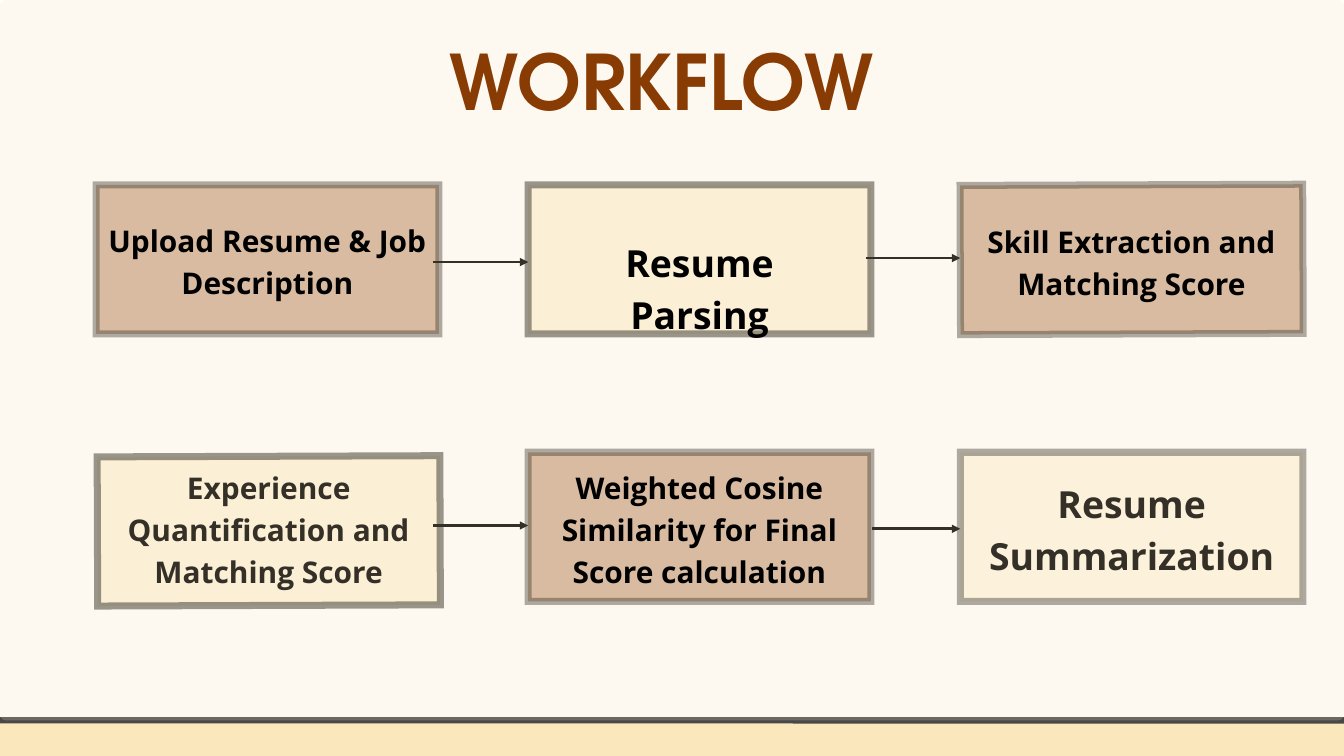
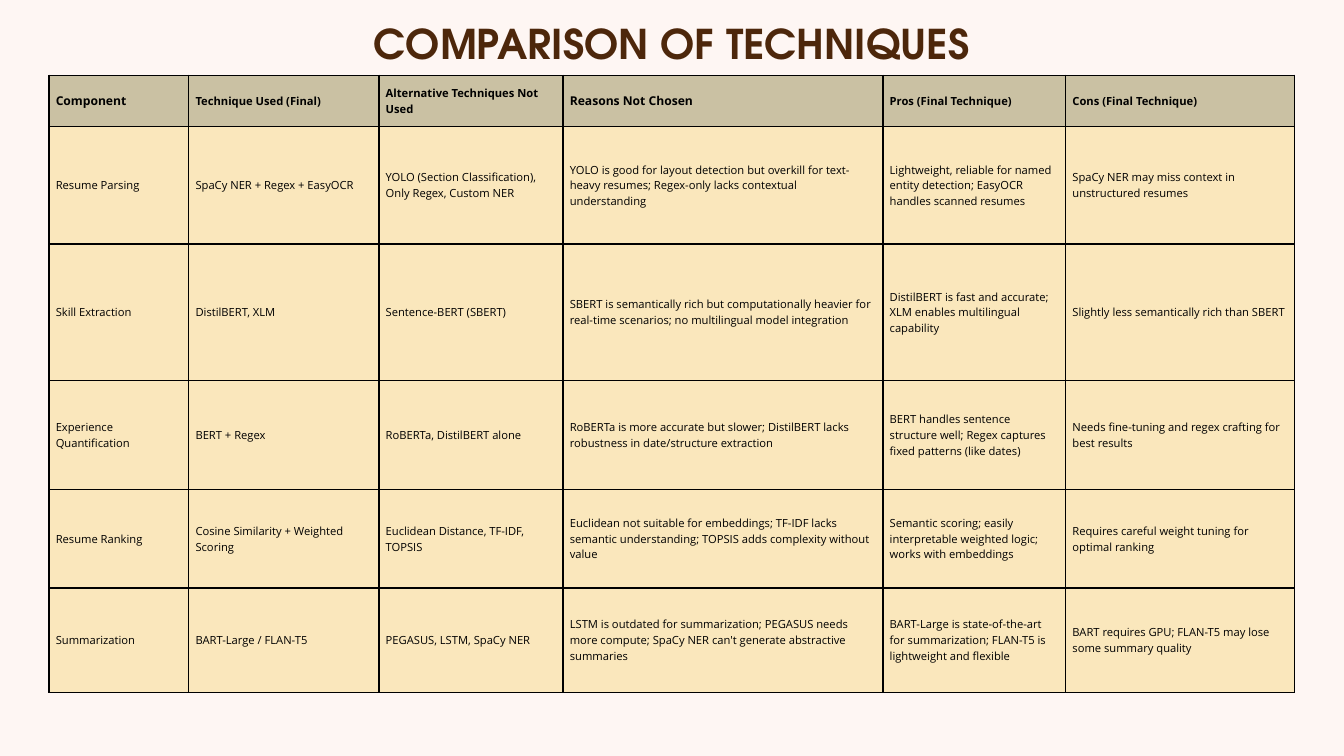
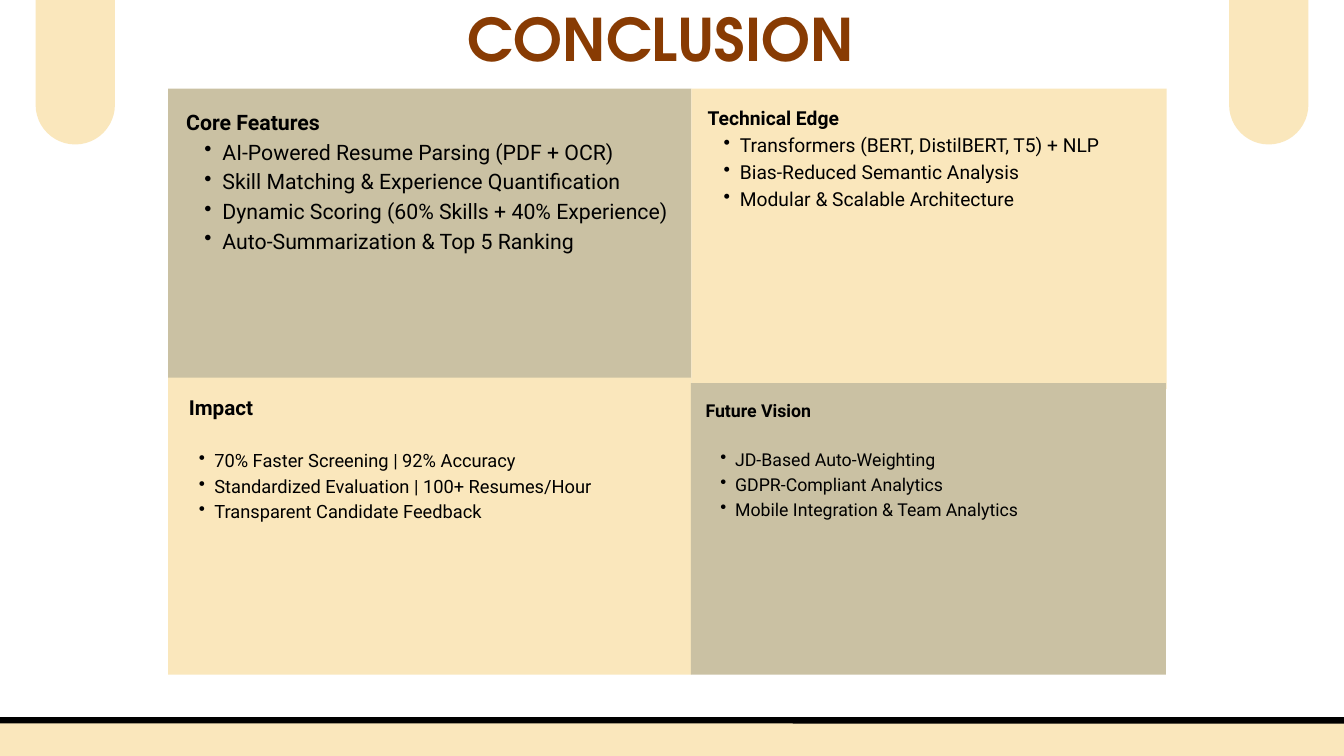
from collections import namedtuple

from lxml.etree import SubElement
from pptx import Presentation
from pptx.dml.color import RGBColor
from pptx.enum.shapes import MSO_CONNECTOR, MSO_SHAPE
from pptx.enum.text import MSO_ANCHOR, PP_ALIGN
from pptx.oxml.ns import qn
from pptx.util import Emu, Pt

RECT, ROUND = MSO_SHAPE.RECTANGLE, MSO_SHAPE.ROUNDED_RECTANGLE
LINE = MSO_CONNECTOR.STRAIGHT
TOP, MIDDLE = MSO_ANCHOR.TOP, MSO_ANCHOR.MIDDLE
LEFT, CENTER = PP_ALIGN.LEFT, PP_ALIGN.CENTER

SCALE = 9144  # EMU in one px, 100 px to the inch
WIDTH, HEIGHT = 2000, 1125
FLOOR = 1072  # top of the footer band

BLACK, WHITE, BLUSH = "000000", "FFFFFF", "FEF6F3"
CREAM, KHAKI, GREY = "FAE7BC", "CAC1A3", "494848"
RUST, BROWN = "883B03", "4D270B"
HEAD, BODY, NOTE = "TeX Gyre Adventor", "Open Sans", "Roboto"
LEAD = 1.4  # line height as a share of the text size

Step = namedtuple("Step", "text fill alpha size inset drop under dx dy angle",
                  defaults=(False, 0, 0, 0))
STEPS = [
    [Step("Upload Resume & Job Description", RUST, 40, 32, 16, 47),
     Step("Resume Parsing", CREAM, 50, 40, 35, 71),
     Step("Skill Extraction and Matching Score", RUST, 40, 32, 22, 49,
          angle=359.8)],
    [Step("Experience Quantification and Matching Score", CREAM, 50, 32, 0, 11,
          True, 2, 6, 359.8),
     Step("Weighted Cosine Similarity for Final Score calculation",
          RUST, 40, 32, 0, 17),
     Step("Resume Summarization", CREAM, 40, 40, 0, 32, True)],
]
# Row, column it leaves, start beyond the step, distance below the row top
ARROWS = [(0, 0, -8, 115), (0, 1, -8, 109), (1, 0, -8, 109), (1, 1, 1, 114)]

COLS = [208, 283, 274, 476, 272, 341]
ROWS = [76, 175, 203, 162, 147, 155]
CELLS = [
    ["Component", "Technique Used (Final)", "Alternative Techniques Not Used",
     "Reasons Not Chosen", "Pros (Final Technique)", "Cons (Final Technique)"],
    ["Resume Parsing", "SpaCy NER + Regex + EasyOCR",
     "YOLO (Section Classification), Only Regex, Custom NER",
     "YOLO is good for layout detection but overkill for text-heavy resumes; "
     "Regex-only lacks contextual understanding",
     "Lightweight, reliable for named entity detection; "
     "EasyOCR handles scanned resumes",
     "SpaCy NER may miss context in unstructured resumes"],
    ["Skill Extraction", "DistilBERT, XLM", "Sentence-BERT (SBERT)",
     "SBERT is semantically rich but computationally heavier for real-time "
     "scenarios; no multilingual model integration",
     "DistilBERT is fast and accurate; XLM enables multilingual capability",
     "Slightly less semantically rich than SBERT"],
    ["Experience Quantification", "BERT + Regex", "RoBERTa, DistilBERT alone",
     "RoBERTa is more accurate but slower; DistilBERT lacks robustness in "
     "date/structure extraction",
     "BERT handles sentence structure well; Regex captures fixed patterns "
     "(like dates)",
     "Needs fine-tuning and regex crafting for best results"],
    ["Resume Ranking", "Cosine Similarity + Weighted Scoring",
     "Euclidean Distance, TF-IDF, TOPSIS",
     "Euclidean not suitable for embeddings; TF-IDF lacks semantic "
     "understanding; TOPSIS adds complexity without value",
     "Semantic scoring; easily interpretable weighted logic; "
     "works with embeddings",
     "Requires careful weight tuning for optimal ranking"],
    ["Summarization", "BART-Large / FLAN-T5", "PEGASUS, LSTM, SpaCy NER",
     "LSTM is outdated for summarization; PEGASUS needs more compute; "
     "SpaCy NER can't generate abstractive summaries",
     "BART-Large is state-of-the-art for summarization; "
     "FLAN-T5 is lightweight and flexible",
     "BART requires GPU; FLAN-T5 may lose some summary quality"],
]

Panel = namedtuple("Panel", "box fill pad title head size items indent gap",
                   defaults=(0, 0))
PANELS = [
    Panel((250, 132, 779, 446), KHAKI, 27, "Core Features", 22.8, 22.8,
          ["AI-Powered Resume Parsing (PDF + OCR)",
           "Skill Matching & Experience Quantification",
           "Dynamic Scoring (60% Skills + 40% Experience)",
           "Auto-Summarization & Top 5 Ranking"]),
    Panel((1029, 132, 707, 447), CREAM, 24, "Technical Edge", 20.6, 20.6,
          ["Transformers (BERT, DistilBERT, T5) + NLP",
           "Bias-Reduced Semantic Analysis",
           "Modular & Scalable Architecture"]),
    Panel((250, 562, 779, 442), CREAM, 23, "Impact", 22.1, 19.6,
          ["70% Faster Screening | 92% Accuracy",
           "Standardized Evaluation | 100+ Resumes/Hour",
           "Transparent Candidate Feedback"], 8, 27.5),
    Panel((1028, 570, 707, 434), KHAKI, 22, "Future Vision", 19, 19,
          ["JD-Based Auto-Weighting", "GDPR-Compliant Analytics",
           "Mobile Integration & Team Analytics"], 0, 26.6),
]


def px(*sizes):
    return [Emu(size * SCALE) for size in sizes]


def rgb(code):
    return RGBColor.from_string(code)


def put(item, **values):
    for name, value in values.items():
        setattr(item, name, value)


def paint(fill, code):
    fill.solid()
    fill.fore_color.rgb = rgb(code)


def frame(shape, pad=0, top=None, anchor=TOP):
    """Set up wrapping and margins of a shape or table cell."""
    side, head = px(pad, pad if top is None else top)
    put(shape, margin_left=side, margin_right=side, margin_top=head,
        margin_bottom=side)
    shape.vertical_anchor = anchor
    if hasattr(shape, "word_wrap"):
        shape.word_wrap = True


def write(para, text, size, font, code=BLACK, bold=True, align=LEFT):
    run = para.add_run()
    run.text = text
    put(run.font, size=Pt(size), name=font, bold=bold)
    run.font.color.rgb = rgb(code)
    put(para, line_spacing=Pt(round(size * LEAD, 1)), alignment=align)


def indent(para, left, first=0):
    props = para._p.get_or_add_pPr()
    for name, size in zip(("marL", "indent"), px(left, first)):
        props.set(name, str(size))
    return props


def label(slide, box, text, size, font=BODY, code=BLACK):
    body = slide.shapes.add_textbox(*px(*box)).text_frame
    frame(body)
    write(body.paragraphs[0], text, size, font, code, align=CENTER)


def block(slide, box, fill, kind=RECT, edge=None, width=0, alpha=100, radius=0):
    shape = slide.shapes.add_shape(kind, *px(*box))
    shape.shadow.inherit = False
    paint(shape.fill, fill)
    if kind == ROUND:
        shape.adjustments[0] = radius / min(box[2:])
    if edge:
        paint(shape.line.fill, edge)
        shape.line.width = Pt(width)
        SubElement(shape.element.spPr.find(qn("a:ln")), qn("a:miter"), lim="800000")
    else:
        shape.line.fill.background()
    if alpha < 100:
        for color in shape.element.spPr.iter(qn("a:srgbClr")):
            SubElement(color, qn("a:alpha"), val=str(alpha * 1000))
    return shape


def arrow(slide, start, end, y):
    link = slide.shapes.add_connector(LINE, *px(start, y, end, y))
    paint(link.line.fill, BLACK)
    link.line.width = Pt(3)
    props = link.element.spPr
    SubElement(props.find(qn("a:ln")), qn("a:tailEnd"), type="triangle")
    SubElement(props, qn("a:effectLst"))


def footer(slide, edge):
    block(slide, (-58, FLOOR, WIDTH + 116, 90), CREAM, ROUND, edge, 6.75, radius=9)


def page(deck, back):
    slide = deck.slides.add_slide(deck.slide_layouts[6])
    paint(slide.background.fill, back)
    return slide


def flow(slide, box):
    """Draw the grid of steps, with a pale veil over the lower layer."""
    left, top, wide, high = box
    pitch, drop = 643, 398
    below, above = [], []
    for row, steps in enumerate(STEPS):
        for col, step in enumerate(steps):
            x = left + col * pitch + step.dx
            y = top + row * drop + step.dy
            shape = block(slide, (x, y, wide, high), step.fill, edge=BLACK,
                          width=7.5, alpha=step.alpha)
            shape.rotation = step.angle
            area = (x + step.inset, y + step.drop, wide - 2 * step.inset,
                    high - 2 * step.drop)
            (below if step.under else above).append((area, step.text, step.size))
    for item in below:
        label(slide, *item)
    for row, col, lead, down in ARROWS:
        x = left + col * pitch
        arrow(slide, x + wide + lead, x + pitch, top + row * drop + down)
    block(slide, (0, 0, WIDTH, FLOOR), CREAM, ROUND, alpha=21, radius=9)
    for item in above:
        label(slide, *item)


def grid(slide, left, top):
    shape = slide.shapes.add_table(len(ROWS), len(COLS),
                                   *px(left, top, sum(COLS), sum(ROWS)))
    table = shape.table
    put(table, first_row=False, horz_banding=False)
    for col, size in zip(table.columns, px(*COLS)):
        col.width = size
    for row, size in zip(table.rows, px(*ROWS)):
        row.height = size
    for r, texts in enumerate(CELLS):
        for c, text in enumerate(texts):
            cell = table.cell(r, c)
            frame(cell, 10, anchor=MIDDLE)
            size = 13 if r == 0 and c in (0, 3) else 12
            write(cell.text_frame.paragraphs[0], text, size, BODY, bold=r == 0)
            paint(cell.fill, CREAM if r else KHAKI)
    for props in shape.element.iter(qn("a:tcPr")):
        for spot, side in enumerate(("lnL", "lnR", "lnT", "lnB")):
            line = SubElement(props, qn("a:" + side), w=str(Pt(1.5)))
            fill = SubElement(line, qn("a:solidFill"))
            SubElement(fill, qn("a:srgbClr"), val=BLACK)
            props.insert(spot, line)


def panel(slide, data):
    """Draw a filled box with a heading and bullets."""
    body = block(slide, data.box, data.fill).text_frame
    frame(body, data.pad, data.pad - 3)
    head = body.paragraphs[0]
    write(head, data.title, data.head, NOTE)
    indent(head, data.indent)
    head.space_after = Pt(data.gap)
    for item in data.items:
        para = body.add_paragraph()
        write(para, item, data.size, NOTE, bold=False)
        SubElement(indent(para, 2 * data.pad, -data.pad), qn("a:buChar"), char="•")


def workflow(deck):
    slide = page(deck, WHITE)
    footer(slide, GREY)
    flow(slide, (143, 275, 510, 222))
    label(slide, (517, 28, 934, 153), "WORKFLOW", 81.9, HEAD, RUST)


def compare(deck):
    slide = page(deck, BLUSH)
    grid(slide, 73, 112)
    label(slide, (112, 15, 1775, 82), "COMPARISON OF TECHNIQUES", 43.9, HEAD, BROWN)


def conclude(deck):
    slide = page(deck, WHITE)
    label(slide, (515, -14, 937, 118), "CONCLUSION", 62.9, HEAD, RUST)
    wide, edge = 118, 53
    for x in (edge, WIDTH - edge - wide):
        block(slide, (x, -108, wide, 323), CREAM, ROUND, radius=wide / 2)
    footer(slide, BLACK)
    for data in PANELS:
        panel(slide, data)


def main():
    deck = Presentation()
    deck.slide_width, deck.slide_height = px(WIDTH, HEIGHT)
    for build in (workflow, compare, conclude):
        build(deck)
    deck.save("out.pptx")


if __name__ == "__main__":
    main()
